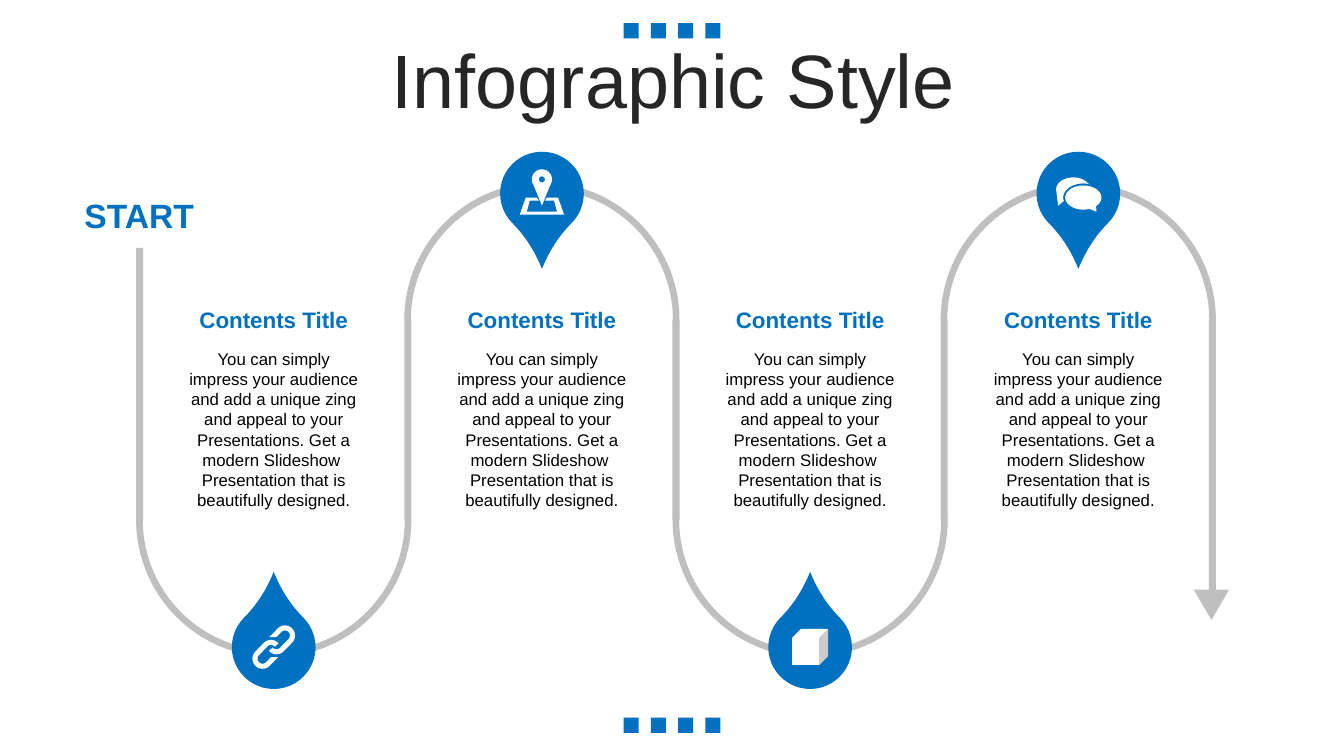
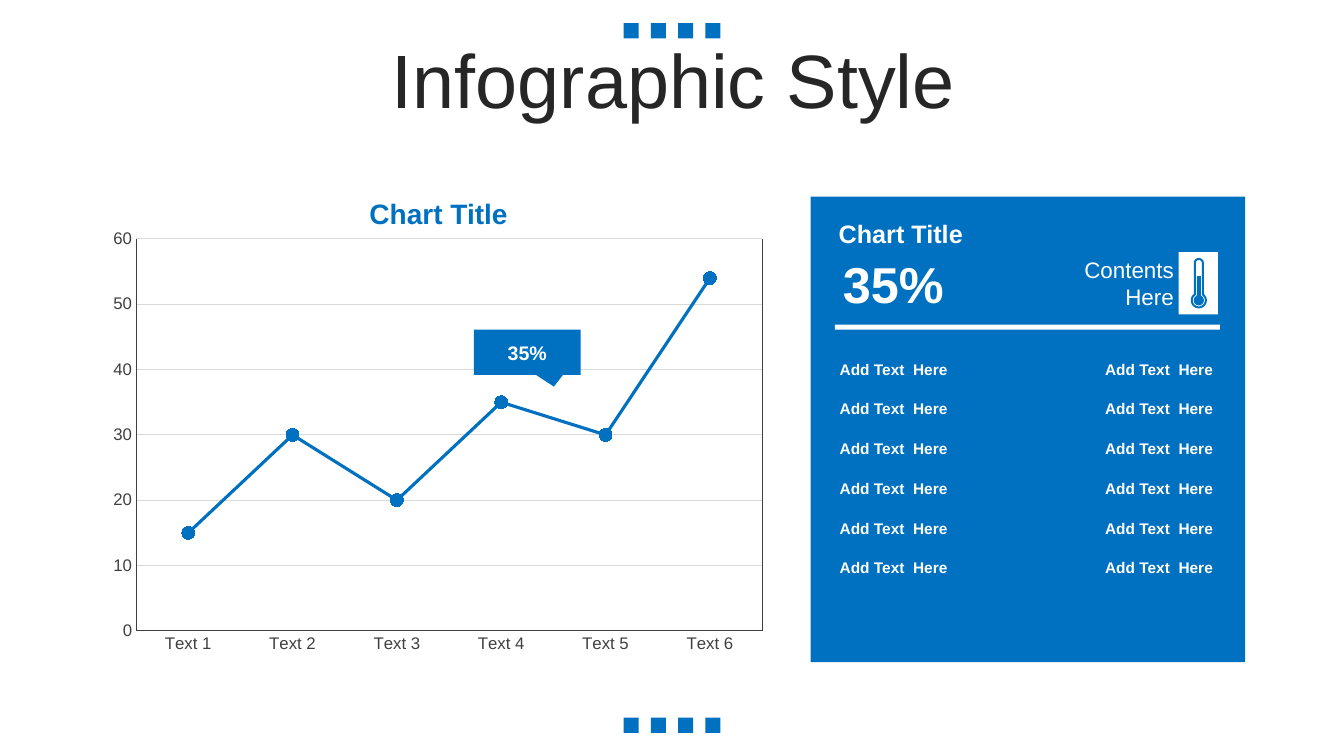
from math import acos, cos, degrees, radians, sin

from lxml.etree import SubElement
from pptx import Presentation
from pptx.chart.data import CategoryChartData
from pptx.dml.color import RGBColor
from pptx.enum.chart import XL_CHART_TYPE as ChartKind, XL_MARKER_STYLE as Marker
from pptx.enum.chart import XL_TICK_MARK as Tick
from pptx.enum.shapes import MSO_CONNECTOR as Line, MSO_SHAPE as Shape
from pptx.enum.text import MSO_ANCHOR as Anchor, PP_ALIGN as Align
from pptx.oxml.ns import qn
from pptx.util import Inches, Pt

WIDTH, HEIGHT = 13.33, 7.5
FONT = "Arial"
BLUE, GREY, WHITE, BLACK = "0070C0", "BFBFBF", "FFFFFF", "000000"
TITLE_INK, AXIS_INK, GRID_INK = "262626", "404040", "D9D9D9"

TRACK_LEFT, TRACK_PITCH, TRACK_THICK = 1.35, 2.66, 0.07
BEND = TRACK_PITCH + TRACK_THICK
DROP = 0.83
HIGH, LOW = 1.92, 6.42
PANEL_LEFT, PANEL_TOP, PANEL_WIDTH, PANEL_HEIGHT = 8.04, 1.95, 4.31, 4.62
ROWS, ROWS_TOP, ROW_STEP = 6, 3.52, 1.97 / 5
CHART = (0.99, 2.2, 6.71, 4.37)
PLOT = (1.35, 2.37, 6.21, 3.89)

CONTENT = (
    "You can simply impress your audience and add a unique zing and appeal to "
    "your Presentations. Get a modern Slideshow  Presentation that is "
    "beautifully designed."
)


def color(hex_code):
    """Turn a hex string into a colour."""
    return RGBColor.from_string(hex_code)


def paint(shape, hex_code):
    """Give a shape a flat fill with no line or shadow."""
    shape.fill.solid()
    shape.fill.fore_color.rgb = color(hex_code)
    shape.line.fill.background()
    shape.shadow.inherit = False
    return shape


def block(slide, kind, box, hex_code, turn=0, adjust=()):
    """Add a flat preset shape."""
    shape = paint(slide.shapes.add_shape(kind, *map(Inches, box)), hex_code)
    shape.rotation = turn
    for index, value in enumerate(adjust):
        shape.adjustments[index] = value
    return shape


def style_font(font, size, hex_code, bold=False):
    """Set the typeface, size, colour and weight of a font."""
    font.name, font.size, font.bold = FONT, Pt(size), bold
    font.color.rgb = color(hex_code)


def write(shape, words, size, hex_code, bold=False, align=Align.CENTER, anchor=Anchor.TOP):
    """Put one styled paragraph into a shape."""
    frame = shape.text_frame
    frame.word_wrap, frame.vertical_anchor = True, anchor
    frame.text = words
    paragraph = frame.paragraphs[0]
    paragraph.alignment = align
    style_font(paragraph.runs[0].font, size, hex_code, bold)
    return paragraph


def label(slide, box, *words, **style):
    """Add a text box holding one styled paragraph."""
    return write(slide.shapes.add_textbox(*map(Inches, box)), *words, **style)


def arc(x, y, rx, ry, start, end, steps=24):
    """List points along an elliptical arc, angles clockwise from the right."""
    angles = [radians(start + (end - start) * i / steps) for i in range(steps + 1)]
    return [(x + rx * cos(a), y + ry * sin(a)) for a in angles]


def outline(slide, center, contours, hex_code, turn=0):
    """Add a freeform from contours measured from a center."""
    placed = [
        [(Inches(center[0] + x), Inches(center[1] + y)) for x, y in contour]
        for contour in contours
    ]
    builder = slide.shapes.build_freeform(*placed[0][0])
    builder.add_line_segments(placed[0][1:], close=True)
    for contour in placed[1:]:
        builder.move_to(*contour[0])
        builder.add_line_segments(contour[1:], close=True)
    paint(builder.convert_to_shape(), hex_code).rotation = turn


def link_icon(slide, center):
    """Draw two interlocked chain links."""
    outer, inner = 0.1, 0.05
    lower = (
        arc(0, 0.04, outer, outer, -85, -180)
        + arc(0, 0.16, outer, outer, 180, 0)
        + [(outer, 0.04), (inner, 0.09)]
        + arc(0, 0.16, inner, inner, 0, 180)
        + arc(0, 0.04, inner, inner, -180, -85)
    )
    upper = [(-x, -y) for x, y in lower]
    outline(slide, center, [lower, upper], WHITE, 44)


def map_icon(slide, center):
    """Draw a location pin above a map."""
    right = [(0.05, 0.04), (0.16, 0.04), (0.22, 0.21)]
    inside = [(0.15, 0.18), (0.12, 0.07), (0.03, 0.07)]
    left = [(-x, y) for x, y in inside[::-1] + right[::-1]]
    sheet = right + left[3:][::-1][::-1]
    rim = [(0.03, 0.07), *right, *[(-x, y) for x, y in right[::-1]]]
    rim += [(-x, y) for x, y in inside[::-1]] + inside[:2]
    pin = arc(0, -0.14, 0.1, 0.1, 145, 395) + [(0, 0.12)]
    hole = arc(0, -0.14, 0.03, 0.03, 0, 360)
    outline(slide, center, [rim, pin, hole], WHITE)


def box_icon(slide, center):
    """Draw a plain box."""
    side = 0.36
    block(slide, Shape.CUBE, (center[0] - side / 2, center[1] - side / 2, side, side), WHITE)


def chat_icon(slide, center):
    """Draw two overlapping speech bubbles."""
    front = arc(0.05, 0.04, 0.18, 0.12, 70, 405) + [(0.18, 0.18)]
    back = (
        arc(-0.05, -0.04, 0.17, 0.12, -30, -180)
        + [(-0.2, 0.12), (-0.15, 0.08)]
        + arc(0.05, 0.04, 0.2, 0.14, 165, 290)
    )
    outline(slide, center, [front, back], WHITE)


def bulb(radius, tube, top):
    """List the points of a thermometer bulb that opens into a tube."""
    angle = degrees(acos(tube / radius))
    return arc(0, 0.17, radius, radius, -angle, 180 + angle) + top


def thermometer_icon(slide, center):
    """Draw a half filled thermometer."""
    glass = [
        bulb(radius, tube, arc(0, -0.2, tube, tube, 180, 360))
        for radius, tube in ((0.08, 0.05), (0.06, 0.03))
    ]
    mercury = bulb(0.05, 0.02, [(-0.02, -0.07), (0.02, -0.07)])
    outline(slide, center, [*glass, mercury], BLUE)


def new_slide(deck, title):
    """Add a blank slide with the shared squares and title."""
    slide = deck.slides.add_slide(deck.slide_layouts[6])
    side, step, count = 0.15, 0.27, 4
    left = (WIDTH - step * (count - 1) - side) / 2
    for top in (0.23, HEIGHT - 0.23 - side):
        for index in range(count):
            block(slide, Shape.RECTANGLE, (left + step * index, top, side, side), BLUE)
    heading = label(slide, (0.35, 0.44, 12.66, 0.79), title, 54, TITLE_INK, anchor=Anchor.MIDDLE)
    heading.line_spacing, heading.space_before = 0.9, Pt(10)
    return slide


def draw_track(slide):
    """Draw the winding road from start to arrowhead."""
    for index in range(5):
        left = TRACK_LEFT + TRACK_PITCH * index
        top = 2.46 if index == 0 else 3.17
        bottom = 5.87 if index == 4 else 5.16
        block(slide, Shape.RECTANGLE, (left, top, TRACK_THICK, bottom - top), GREY)
    for index in range(4):
        left = TRACK_LEFT + TRACK_PITCH * index
        top, turn = (1.81, 0) if index % 2 else (3.79, 180)
        block(slide, Shape.BLOCK_ARC, (left, top, BEND, BEND), GREY, turn, (108, 0.356, 0.024))
    block(slide, Shape.ISOSCELES_TRIANGLE, (11.84, 5.85, 0.35, 0.3), GREY, 180)


def draw_stop(slide, index, icon):
    """Draw one drop with its icon and the text beside it."""
    x = TRACK_LEFT + BEND / 2 + TRACK_PITCH * index
    y, turn = (HIGH, 135) if index % 2 else (LOW, 315)
    drop = (x - DROP / 2, y - DROP / 2, DROP, DROP)
    block(slide, Shape.TEAR, drop, BLUE, turn, (1.273,))
    icon(slide, (x, y))
    label(slide, (x - 0.96, 2.99, 1.92, 0.37), "Contents Title", 16, BLUE, True)
    label(slide, (x - 0.96, 3.41, 1.92, 1.72), CONTENT, 12, BLACK)


def style_axis(axis):
    """Apply the shared axis look."""
    axis.major_tick_mark = axis.minor_tick_mark = Tick.NONE
    style_font(axis.tick_labels.font, 12, AXIS_INK)
    axis.format.line.color.rgb = color(AXIS_INK)
    axis.format.line.width = Pt(0.75)


def fix_plot(chart):
    """Place the inner plot area at the plot's position."""
    area = chart.plots[0]._element.getparent()
    for old in area.findall(qn("c:layout")):
        area.remove(old)
    layout = SubElement(area, qn("c:layout"))
    area.insert(0, layout)
    manual = SubElement(layout, qn("c:manualLayout"))
    left, top, width, height = CHART
    shares = {
        "x": (PLOT[0] - left) / width,
        "y": (PLOT[1] - top) / height,
        "w": PLOT[2] / width,
        "h": PLOT[3] / height,
    }
    settings = {"layoutTarget": "inner", "xMode": "edge", "yMode": "edge", **shares}
    for tag, value in settings.items():
        SubElement(manual, qn(f"c:{tag}")).set("val", str(value))


def draw_chart(slide):
    """Draw the line chart, its heading, right edge and callout."""
    data = CategoryChartData()
    data.categories = [f"Text {number}" for number in range(1, 7)]
    data.add_series("Series 1", (15, 30, 20, 35, 30, 54))
    chart = slide.shapes.add_chart(
        ChartKind.LINE_MARKERS_STACKED, *map(Inches, CHART), data
    ).chart
    chart.has_title = chart.has_legend = False
    style_font(chart.font, 10, BLACK)
    style_axis(chart.category_axis)
    values = chart.value_axis
    style_axis(values)
    values.minimum_scale, values.maximum_scale, values.major_unit = 0, 60, 10
    values.major_gridlines.format.line.color.rgb = color(GRID_INK)
    values.major_gridlines.format.line.width = Pt(0.75)
    chart.plots[0].vary_by_categories = False
    series = chart.plots[0].series[0]
    series.smooth = False
    series.format.line.color.rgb = color(BLUE)
    series.format.line.width = Pt(2.25)
    series.marker.style, series.marker.size = Marker.CIRCLE, 9
    series.marker.format.fill.solid()
    series.marker.format.fill.fore_color.rgb = color(BLUE)
    series.marker.format.line.color.rgb = color(BLUE)
    fix_plot(chart)

    right, top, bottom = PLOT[0] + PLOT[2], PLOT[1], PLOT[1] + PLOT[3]
    edge = slide.shapes.add_connector(Line.STRAIGHT, *map(Inches, (right, top, right, bottom)))
    edge.line.color.rgb, edge.line.width = color(AXIS_INK), Pt(0.75)
    SubElement(edge._element.spPr, qn("a:effectLst"))
    label(slide, (2.49, 1.9, 3.72, 0.44), "Chart Title", 20, BLUE, True, anchor=Anchor.MIDDLE)
    callout = block(
        slide, Shape.RECTANGULAR_CALLOUT, (4.7, 3.27, 1.06, 0.45), BLUE, adjust=(0.249, 0.757)
    )
    write(callout, "35%", 14, WHITE, True, anchor=Anchor.MIDDLE)


def draw_panel(slide):
    """Draw the blue summary panel with its two columns of rows."""
    block(slide, Shape.RECTANGLE, (PANEL_LEFT, PANEL_TOP, PANEL_WIDTH, PANEL_HEIGHT), BLUE)
    label(slide, (8.23, 2.46, 1.26, 0.71), "35%", 36, WHITE, True)
    label(slide, (8.22, 2.12, 1.87, 0.4), "Chart Title", 18, WHITE, True, Align.LEFT, Anchor.MIDDLE)
    block(slide, Shape.RECTANGLE, (8.28, 3.22, 3.82, 0.05), WHITE)
    for row in range(ROWS):
        for left, align in ((8.23, Align.LEFT), (10.56, Align.RIGHT)):
            box = (left, ROWS_TOP + ROW_STEP * row, 1.57, 0.29)
            label(slide, box, "Add Text  Here", 11, WHITE, True, align)
    label(slide, (10.64, 2.49, 1.1, 0.64), "Contents Here", 16, WHITE, align=Align.RIGHT)
    block(slide, Shape.RECTANGLE, (11.69, 2.5, 0.39, 0.62), WHITE)
    thermometer_icon(slide, (11.89, 2.81))


def main():
    """Build and save the deck."""
    deck = Presentation()
    deck.slide_width, deck.slide_height = Inches(WIDTH), Inches(HEIGHT)
    journey = new_slide(deck, "Infographic Style")
    draw_track(journey)
    label(journey, (0.64, 1.91, 1.48, 0.44), "START", 24, BLUE, True, anchor=Anchor.MIDDLE)
    for index, icon in enumerate((link_icon, map_icon, box_icon, chat_icon)):
        draw_stop(journey, index, icon)
    report = new_slide(deck, "Infographic Style")
    draw_chart(report)
    draw_panel(report)
    deck.save("out.pptx")


if __name__ == "__main__":
    main()
